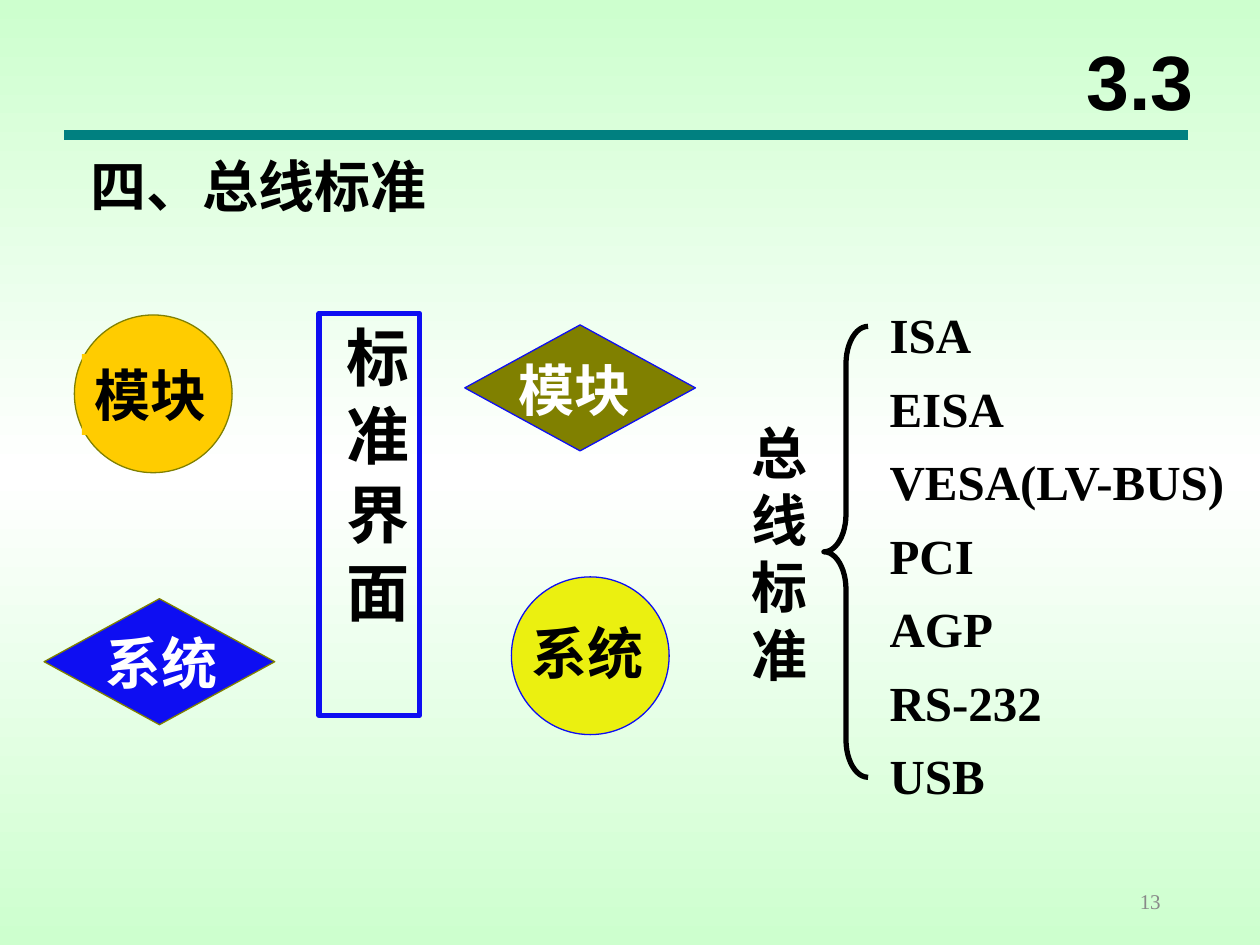
from copy import deepcopy

from lxml import etree
from pptx import Presentation
from pptx.dml.color import RGBColor
from pptx.enum import shapes, text
from pptx.oxml import ns
from pptx.util import Cm, Pt

MINT = RGBColor(0xCD, 0xFF, 0xCE)
WHITE = RGBColor(0xFF, 0xFF, 0xFF)
BLACK = RGBColor(0, 0, 0)
GRAY = RGBColor(0x89, 0x89, 0x89)
TEAL = RGBColor(0, 0x80, 0x80)
GOLD = RGBColor(0xFF, 0xCC, 0)
YELLOW = RGBColor(0xEB, 0xF0, 0x10)
BLUE = RGBColor(0x0E, 0x0E, 0xF2)
OLIVE = RGBColor(0x80, 0x80, 0)

CIRCLE = shapes.MSO_SHAPE.OVAL
DIAMOND = shapes.MSO_SHAPE.DIAMOND
CIRCLE_SIZE = (3.18, 3.18)
DIAMOND_SIZE = (4.65, 2.54)
LABEL_SIZE = (2.77, 1.63)


def write(frame, content, size=32, color=BLACK, font="Times New Roman", bold=True,
          align=text.PP_ALIGN.LEFT, anchor=text.MSO_ANCHOR.TOP, spacing=1.0, wrap=True):
    frame.text = content
    frame.auto_size = text.MSO_AUTO_SIZE.NONE
    frame.word_wrap = wrap
    frame.vertical_anchor = anchor
    for paragraph in frame.paragraphs:
        properties = paragraph._p.get_or_add_pPr()
        properties.set("marL", "0")
        properties.set("indent", "0")
        etree.SubElement(properties, ns.qn("a:buNone"))
        paragraph.alignment = align
        paragraph.line_spacing = spacing
        paragraph.space_before = Pt(0)
        paragraph.font.name = font
        paragraph.font.size = Pt(size)
        paragraph.font.bold = bold
        paragraph.font.color.rgb = color


class SlideBuilder:
    def __init__(self, slide):
        self.slide = slide

    def background(self, *colors):
        fill = self.slide.background.fill
        fill.gradient()
        fill.gradient_angle = 270
        stops = self.slide._element.find(".//" + ns.qn("a:gsLst"))
        while len(stops) < len(colors):
            stops.append(deepcopy(stops[0]))
        for index, (stop, color) in enumerate(zip(fill.gradient_stops, colors)):
            stop.color.rgb = color
            stop.position = index / (len(colors) - 1)

    def placeholder(self, index, content, left, top, width, height, **style):
        holder = self.slide.placeholders[index]
        holder.left, holder.top = Cm(left), Cm(top)
        holder.width, holder.height = Cm(width), Cm(height)
        write(holder.text_frame, content, **style)

    def label(self, content, left, top, width, height, fill=None, **style):
        box = self.slide.shapes.add_textbox(Cm(left), Cm(top), Cm(width), Cm(height))
        if fill is not None:
            box.fill.solid()
            box.fill.fore_color.rgb = fill
        write(box.text_frame, content, **style)

    def shape(self, kind, left, top, width, height, outline, weight=0.75, fill=None):
        shape = self.slide.shapes.add_shape(kind, Cm(left), Cm(top), Cm(width), Cm(height))
        shape.shadow.inherit = False
        if fill is None:
            shape.fill.background()
        else:
            shape.fill.solid()
            shape.fill.fore_color.rgb = fill
        shape.line.color.rgb = outline
        shape.line.width = Pt(weight)
        return shape

    def rule(self, left, right, top, color, weight):
        rule = self.slide.shapes.add_connector(
            shapes.MSO_CONNECTOR.STRAIGHT, Cm(left), Cm(top), Cm(right), Cm(top))
        rule.line.color.rgb = color
        rule.line.width = Pt(weight)
        etree.SubElement(rule._element.spPr, ns.qn("a:effectLst"))

    def interface(self, content, left, top, width, height):
        panel = self.shape(shapes.MSO_SHAPE.RECTANGLE, left, top, width, height, BLUE, 3)
        frame = panel.text_frame
        frame.margin_left = frame.margin_right = Cm(0.13)
        frame.margin_top = frame.margin_bottom = Cm(0.25)
        write(frame, content, size=36, align=text.PP_ALIGN.CENTER)
        frame._txBody.bodyPr.set("vert", "eaVert")


def main():
    deck = Presentation()
    deck.slide_width, deck.slide_height = Cm(25.4), Cm(19.05)
    builder = SlideBuilder(deck.slides.add_slide(deck.slide_layouts[1]))
    builder.background(MINT, WHITE, MINT)
    builder.rule(1.3, 23.95, 2.72, TEAL, 6)

    builder.placeholder(0, "3.3", 21.39, 0.43, 3.18, 2.34, size=44, font="Arial",
                        align=text.PP_ALIGN.CENTER, anchor=text.MSO_ANCHOR.MIDDLE)
    standards = ["ISA", "EISA", "VESA(LV-BUS)", "PCI", "AGP", "RS-232", "USB"]
    builder.placeholder(1, "\n".join(standards), 17.68, 5.72, 7.4, 10.64,
                        size=28, spacing=1.25)
    builder.label("四、总线标准", 1.58, 2.92, 13.74, 1.63)

    nodes = [
        ("模块", CIRCLE, (1.5, 6.35), CIRCLE_SIZE, GOLD, OLIVE, (1.65, 7.14), BLACK, GOLD),
        ("系统", CIRCLE, (10.31, 11.63), CIRCLE_SIZE, YELLOW, BLUE, (10.46, 12.34), BLACK, None),
        ("系统", DIAMOND, (0.89, 12.07), DIAMOND_SIZE, BLUE, OLIVE, (1.88, 12.55), WHITE, None),
        ("模块", DIAMOND, (9.37, 6.55), DIAMOND_SIZE, OLIVE, BLUE, (10.21, 7.04), WHITE, None),
    ]
    for name, kind, place, size, fill, outline, label_place, color, label_fill in nodes:
        builder.shape(kind, *place, *size, outline, fill=fill)
        builder.label(name, *label_place, *LABEL_SIZE, fill=label_fill, color=color, wrap=False)

    builder.interface("标 准 界 面", 6.43, 6.32, 2.03, 8.1)
    builder.label("\n".join("总线标准"), 14.91, 8.31, 1.5, 5.69)
    brace = builder.shape(shapes.MSO_SHAPE.LEFT_BRACE, 16.61, 6.58, 0.89, 9.09, BLACK, 3)
    brace.adjustments[0] = 0.85
    builder.label("13", 17.93, 17.65, 5.72, 1.02, size=12, color=GRAY, bold=False,
                  align=text.PP_ALIGN.RIGHT, anchor=text.MSO_ANCHOR.MIDDLE)

    deck.save("out.pptx")


if __name__ == "__main__":
    main()
